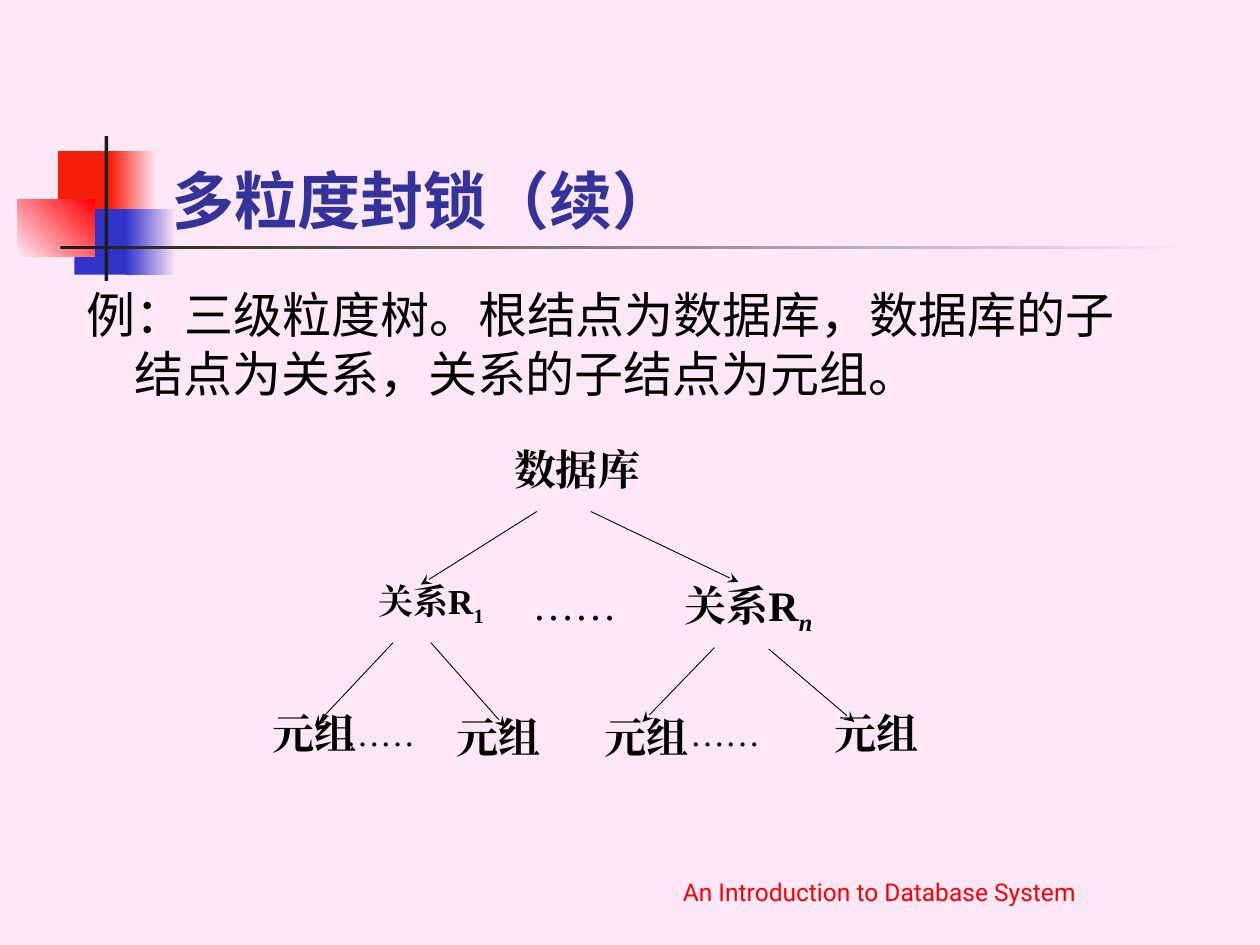
from lxml import etree
from pptx import Presentation
from pptx.dml.color import RGBColor
from pptx.enum import shapes, text
from pptx.oxml.ns import qn
from pptx.util import Inches, Pt

PINK = RGBColor(0xFE, 0xE8, 0xF7)
RED = RGBColor(0xF6, 0x20, 0x0A)
PURE = RGBColor(0xFF, 0, 0)
BLUE = RGBColor(0x33, 0x33, 0xCC)
NAVY = RGBColor(0x33, 0x33, 0x99)
DARK = RGBColor(0x1C, 0x1C, 0x1C)
BLACK = RGBColor(0, 0, 0)
SANS, SERIF = "Roboto", "Times New Roman"
LEFT, MID, JUST = text.PP_ALIGN.LEFT, text.PP_ALIGN.CENTER, text.PP_ALIGN.JUSTIFY
TOP, LOW = text.MSO_ANCHOR.TOP, text.MSO_ANCHOR.BOTTOM


def add_block(slide, box, first, last=None, angle=0):
    """Add a borderless rectangle, plain or fading from first to last."""
    block = slide.shapes.add_shape(
        shapes.MSO_SHAPE.RECTANGLE, *map(Inches, box))
    block.shadow.inherit = False
    block.line.fill.background()
    if last is None:
        block.fill.solid()
        block.fill.fore_color.rgb = first
        return
    block.fill.gradient()
    block.fill.gradient_angle = angle
    for stop, color, place in zip(block.fill.gradient_stops, (first, last), (0, 1)):
        stop.color.rgb = color
        stop.position = place


def set_frame(shape, align, anchor):
    frame = shape.text_frame
    frame.word_wrap = True
    frame.auto_size = text.MSO_AUTO_SIZE.NONE
    frame.vertical_anchor = anchor
    para = frame.paragraphs[0]
    para.alignment = align
    return para


def add_box(slide, box, align, anchor=TOP):
    return set_frame(slide.shapes.add_textbox(*map(Inches, box)), align, anchor)


def add_run(para, words, size, face=SERIF, color=BLACK, bold=False):
    run = para.add_run()
    run.text = words
    font = run.font
    font.size, font.name, font.bold = Pt(size), face, bold
    font.color.rgb = color
    props = font._element
    etree.SubElement(props, qn("a:ea")).set("typeface", face)
    return run


def add_node(slide, box, words, size=24, sub="", slant=False):
    """Add a bold tree label with an optional subscript."""
    para = add_box(slide, box, MID)
    para.line_spacing = 0.96
    add_run(para, words, size, bold=True)
    if sub:
        run = add_run(para, sub, size, bold=True)
        run.font.italic = slant or None
        run.font._element.set("baseline", "-25000")


def add_dots(slide, box, size):
    para = add_box(slide, box, JUST)
    para.line_spacing = 0.96
    add_run(para, "……", size)


def add_arrow(slide, start, end):
    arrow = slide.shapes.add_connector(
        shapes.MSO_CONNECTOR.STRAIGHT, *map(Inches, start + end))
    arrow.line.color.rgb = BLACK
    arrow.line.width = Pt(0.5)
    etree.SubElement(arrow.line._get_or_add_ln(), qn("a:tailEnd")).set("type", "stealth")
    etree.SubElement(arrow._element.spPr, qn("a:effectLst"))


def add_decor(slide):
    add_block(slide, (0.46, 1.2, 0.48, 0.52), RED)
    add_block(slide, (0.88, 1.2, 0.36, 0.52), RED, PINK)
    add_block(slide, (0.59, 1.66, 0.46, 0.52), BLUE)
    add_block(slide, (1, 1.66, 0.4, 0.52), BLUE, PINK)
    add_block(slide, (0.14, 1.58, 0.61, 0.46), PINK, PURE, 45)
    add_block(slide, (0.83, 1.08, 0.03, 1.15), DARK)
    add_block(slide, (0.48, 1.95, 9, 0.03), DARK, PINK)


def add_title(slide, words):
    title = slide.shapes.title
    title.left, title.top, title.width, title.height = map(
        Inches, (1.26, 0.68, 8.52, 1.25))
    add_run(set_frame(title, LEFT, LOW), words, 36, SANS, NAVY, True)


def add_body(slide, words):
    para = add_box(slide, (0.59, 2.21, 8.5, 4.5), LEFT)
    props = para._p.get_or_add_pPr()
    props.set("marL", str(Inches(0.38)))
    props.set("indent", str(-Inches(0.38)))
    add_run(para, words, 28, SANS)


def add_tree(slide):
    for start, end in (
        ((4.26, 4.06), (3.34, 4.64)), ((4.69, 4.06), (5.86, 4.62)),
        ((3.12, 5.1), (2.5, 5.76)), ((3.42, 5.1), (4.01, 5.77)),
        ((5.67, 5.14), (5.1, 5.73)), ((6.1, 5.15), (6.78, 5.73)),
    ):
        add_arrow(slide, start, end)
    add_node(slide, (3.86, 3.5, 1.44, 0.64), "数据库")
    add_node(slide, (5.21, 4.55, 1.46, 0.57), "关系R", sub="n", slant=True)
    add_node(slide, (2.58, 4.55, 1.68, 0.91), "关系R", 20, "1")
    for left, top, width in (
        (1.93, 5.59, 1.14), (6.24, 5.59, 1.44),
        (3.39, 5.62, 1.14), (4.56, 5.62, 1.14),
    ):
        add_node(slide, (left, top, width, 0.59), "元组")
    for left, top, size in ((4.13, 4.57, 24), (5.38, 5.62, 20), (2.64, 5.62, 20)):
        add_dots(slide, (left, top, 1.46, 0.48), size)


def main():
    deck = Presentation()
    deck.slide_width, deck.slide_height = Inches(10), Inches(7.5)
    slide = deck.slides.add_slide(deck.slide_layouts[5])
    slide.background.fill.solid()
    slide.background.fill.fore_color.rgb = PINK
    add_decor(slide)
    foot = add_box(slide, (4.37, 6.74, 5.22, 0.5), MID, LOW)
    add_run(foot, "An Introduction to Database System", 14, SANS, PURE)
    add_title(slide, "多粒度封锁（续）")
    add_body(slide, "例：三级粒度树。根结点为数据库，数据库的子结点为关系，关系的子结点为元组。")
    add_tree(slide)
    deck.save("out.pptx")


if __name__ == "__main__":
    main()
